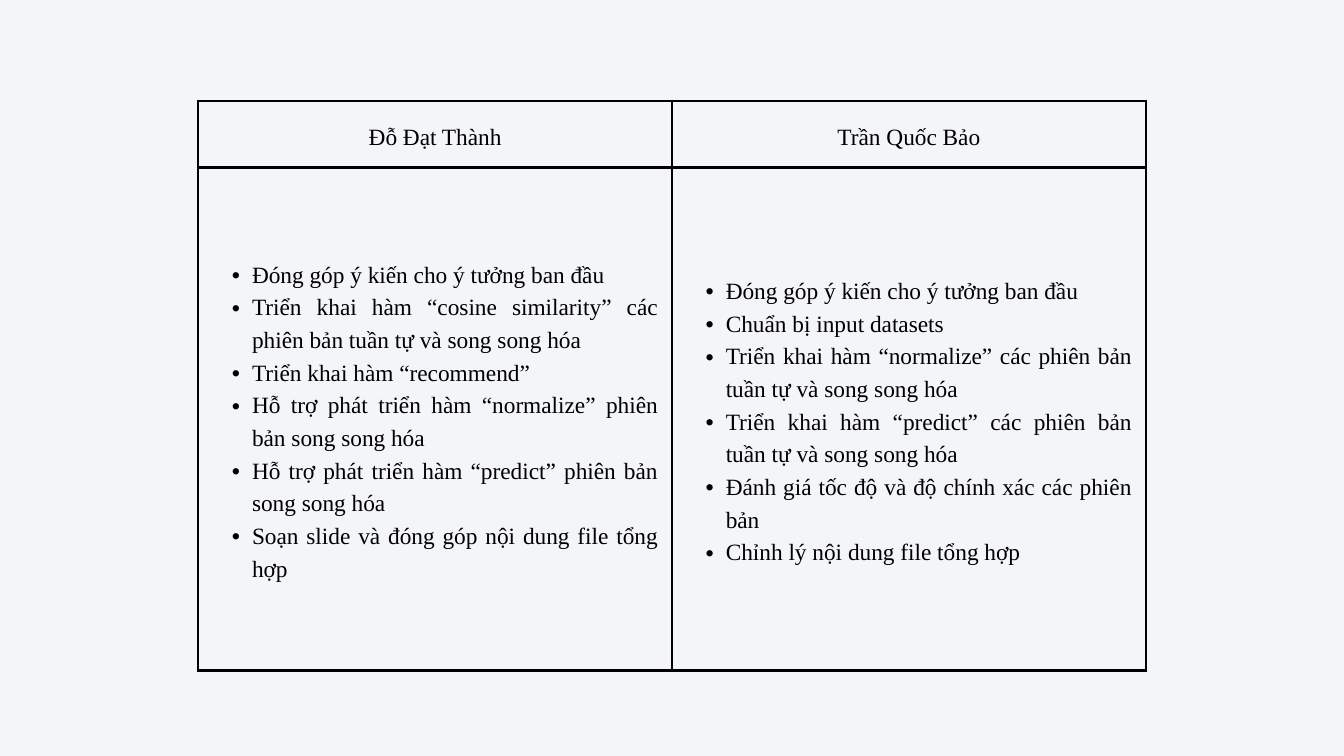
"""Build a slide with a two-column table of team member contributions."""
from lxml import etree
from pptx import Presentation
from pptx.dml.color import RGBColor
from pptx.enum.text import MSO_ANCHOR, PP_ALIGN
from pptx.oxml.ns import qn
from pptx.util import Inches, Pt

BACKGROUND = RGBColor(0xF4, 0xF5, 0xF9)
BLACK = RGBColor(0x00, 0x00, 0x00)
CENTER, JUSTIFY = PP_ALIGN.CENTER, PP_ALIGN.JUSTIFY
MIDDLE = MSO_ANCHOR.MIDDLE
COLUMNS, ROWS = 20, 11.25

MEMBERS = {
    "Đỗ Đạt Thành": [
        "Đóng góp ý kiến cho ý tưởng ban đầu",
        "Triển khai hàm “cosine similarity” các phiên bản tuần tự và song song hóa",
        "Triển khai hàm “recommend”",
        "Hỗ trợ phát triển hàm “normalize” phiên bản song song hóa",
        "Hỗ trợ phát triển hàm “predict” phiên bản song song hóa",
        "Soạn slide và đóng góp nội dung file tổng hợp",
    ],
    "Trần Quốc Bảo": [
        "Đóng góp ý kiến cho ý tưởng ban đầu",
        "Chuẩn bị input datasets",
        "Triển khai hàm “normalize” các phiên bản tuần tự và song song hóa",
        "Triển khai hàm “predict” các phiên bản tuần tự và song song hóa",
        "Đánh giá tốc độ và độ chính xác các phiên bản",
        "Chỉnh lý nội dung file tổng hợp",
    ],
}


class Deck:
    font, size, leading = "Times New Roman", Pt(25), Pt(35)
    margin, indent, hanging = Inches(0.21), Inches(0.59), Inches(-0.3)
    border = Pt(3)

    def __init__(self):
        self.prs = Presentation()
        self.prs.slide_width, self.prs.slide_height = Inches(COLUMNS), Inches(ROWS)
        self.slide = self.prs.slides.add_slide(self.prs.slide_layouts[6])
        fill = self.slide.background.fill
        fill.solid()
        fill.fore_color.rgb = BACKGROUND

    def col(self, n):
        return int(self.prs.slide_width * n / COLUMNS)

    def row(self, n):
        return int(self.prs.slide_height * n / ROWS)

    def table(self, left, top, col_width, row_heights, cells):
        n_cols = len(cells[0])
        table = self.slide.shapes.add_table(
            len(cells), n_cols, self.col(left), self.row(top),
            self.col(col_width * n_cols), self.row(sum(row_heights))).table
        table.first_row = table.horz_banding = False
        for column in table.columns:
            column.width = self.col(col_width)
        for row, height, contents in zip(table.rows, row_heights, cells):
            row.height = self.row(height)
            for cell, content in zip(row.cells, contents):
                self.cell(cell, content)

    def cell(self, cell, content):
        cell.margin_left = cell.margin_right = self.margin
        cell.margin_top = cell.margin_bottom = self.margin
        cell.vertical_anchor = MIDDLE
        self.borders(cell)
        cell.fill.background()
        bulleted = isinstance(content, list)
        lines = content if bulleted else [content]
        tf = cell.text_frame
        tf.text = "\n".join(lines)
        for p in tf.paragraphs:
            p.alignment = JUSTIFY if bulleted else CENTER
            p.line_spacing = self.leading
            if bulleted:
                self.bullet(p)
            p.font.name, p.font.size = self.font, self.size
            p.font.color.rgb = BLACK

    def borders(self, cell):
        tc_pr = cell._tc.get_or_add_tcPr()
        for side in ("a:lnL", "a:lnR", "a:lnT", "a:lnB"):
            line = etree.SubElement(tc_pr, qn(side), w=str(self.border))
            fill = etree.SubElement(line, qn("a:solidFill"))
            etree.SubElement(fill, qn("a:srgbClr"), val=str(BLACK))

    def bullet(self, p):
        p.level = 1
        p_pr = p._p.get_or_add_pPr()
        p_pr.set("marL", str(self.indent))
        p_pr.set("indent", str(self.hanging))
        etree.SubElement(p_pr, qn("a:buFont"), typeface="Arial")
        etree.SubElement(p_pr, qn("a:buChar"), char="•")


def main():
    deck = Deck()
    deck.table(2.95, 1.5, 7.05, [0.99, 7.49],
               [list(MEMBERS), list(MEMBERS.values())])
    deck.prs.save("out.pptx")


if __name__ == "__main__":
    main()
